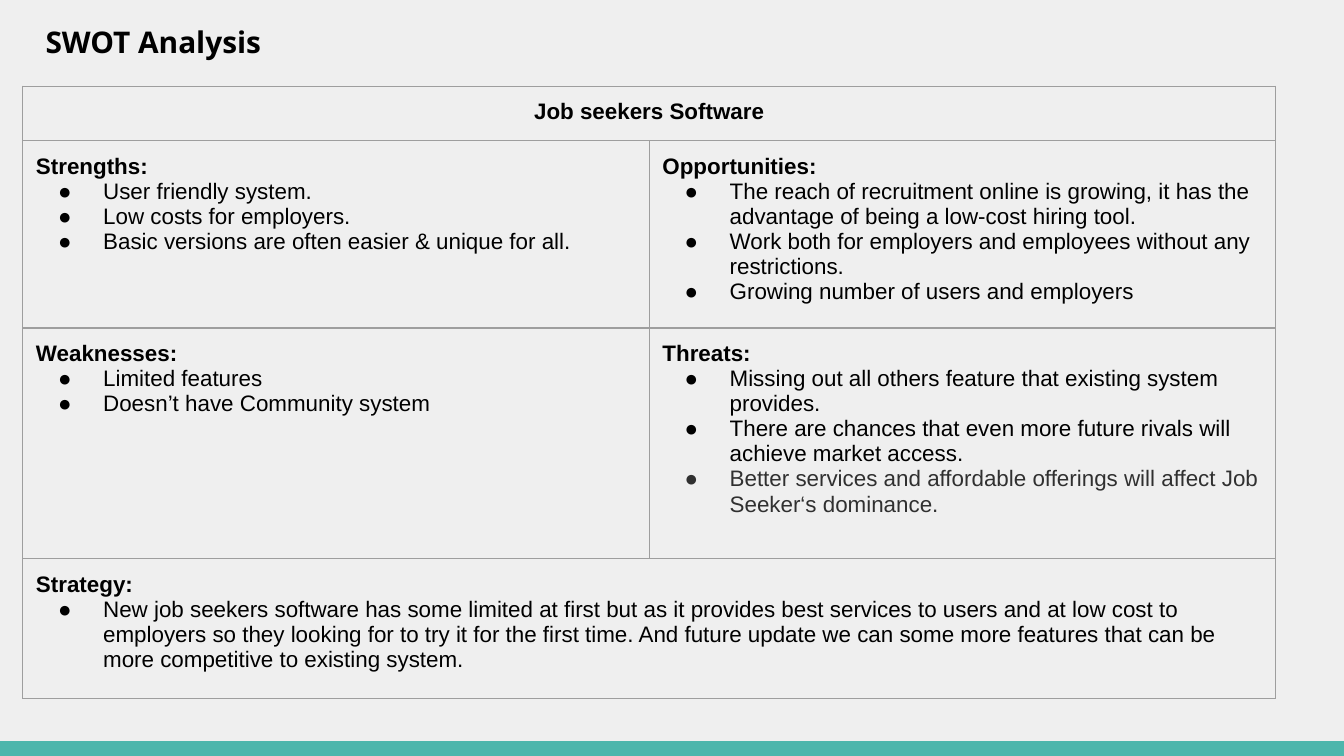
import pptx
import pptx.dml.color
import pptx.enum.shapes
import pptx.enum.text
import pptx.oxml
import pptx.oxml.ns
import pptx.util
from pptx.util import Cm

BLACK, CHARCOAL = "000000", "303030"
BACKGROUND, TEAL, BORDER = "EFEFEF", "4DB6AC", "9E9E9E"
INSET = Cm(0.25)
ROW_HEIGHTS = (1.03, 3.54, 4.36, 2.65)
COLUMN_WIDTH = 11.84

TITLE_FORMAT = {"name": "Open Sans", "size": pptx.util.Pt(16), "bold": True}
HEADING_FORMAT = {"name": "Arial", "size": pptx.util.Pt(12), "bold": True}
BODY_FORMAT = {**HEADING_FORMAT, "bold": False}

# Each entry: row, column, heading, bullets as (text, colour)
SECTIONS = [
    (1, 0, "Strengths:", [
        ("User friendly system.", BLACK),
        ("Low costs for employers.", BLACK),
        ("Basic versions are often easier & unique for all.", BLACK),
    ]),
    (1, 1, "Opportunities:", [
        ("The reach of recruitment online is growing, it has the advantage "
         "of being a low-cost hiring tool.", BLACK),
        ("Work both for employers and employees without any restrictions.", BLACK),
        ("Growing number of users and employers", BLACK),
    ]),
    (2, 0, "Weaknesses:", [
        ("Limited features", BLACK),
        ("Doesn’t have Community system", BLACK),
    ]),
    (2, 1, "Threats:", [
        ("Missing out all others feature that existing system provides.", BLACK),
        ("There are chances that even more future rivals will achieve market access.", BLACK),
        ("Better services and affordable offerings will affect Job Seeker‘s dominance.",
         CHARCOAL),
    ]),
    (3, 0, "Strategy:", [
        ("New job seekers software has some limited at first but as it provides best "
         "services to users and at low cost to employers so they looking for to try it "
         "for the first time. And future update we can some more features that can be "
         "more competitive to existing system.", BLACK),
    ]),
]


def color(hex_string):
    return pptx.dml.color.RGBColor.from_string(hex_string)


def set_attributes(target, values):
    for name, value in values.items():
        setattr(target, name, value)


def write(paragraph, text, font_format, hex_string=BLACK):
    run = paragraph.add_run()
    run.text = text
    set_attributes(run.font, font_format)
    run.font.color.rgb = color(hex_string)


def set_insets(target):
    sides = ("left", "right", "top", "bottom")
    set_attributes(target, {f"margin_{side}": INSET for side in sides})


def add_bullet(paragraph, hex_string):
    properties = paragraph._p.get_or_add_pPr()
    properties.set("marL", str(Cm(1.27)))
    properties.set("indent", str(Cm(-0.85)))
    namespace = pptx.oxml.ns.nsdecls("a")
    for markup in (
        f'<a:buClr {namespace}><a:srgbClr val="{hex_string}"/></a:buClr>',
        f'<a:buFont {namespace} typeface="Arial"/>',
        f'<a:buChar {namespace} char="●"/>',
    ):
        properties.append(pptx.oxml.parse_xml(markup))


def format_cell(cell):
    """Clear the fill, then set insets and a thin border on every side."""
    cell.fill.background()
    set_insets(cell)
    properties = cell._tc.get_or_add_tcPr()
    for position, side in enumerate("LRTB"):
        properties.insert(position, pptx.oxml.parse_xml(
            f'<a:ln{side} {pptx.oxml.ns.nsdecls("a")} w="{pptx.util.Pt(0.75)}">'
            f'<a:solidFill><a:srgbClr val="{BORDER}"/></a:solidFill></a:ln{side}>'))


def add_title(slide, text):
    title = slide.shapes.title
    set_attributes(title, {"left": Cm(0.61), "top": Cm(0.2),
                           "width": Cm(23.67), "height": Cm(1.19)})
    frame = title.text_frame
    set_insets(frame)
    set_attributes(frame, {"word_wrap": True,
                           "auto_size": pptx.enum.text.MSO_AUTO_SIZE.NONE,
                           "vertical_anchor": pptx.enum.text.MSO_ANCHOR.TOP})
    paragraph = frame.paragraphs[0]
    paragraph.alignment = pptx.enum.text.PP_ALIGN.LEFT
    write(paragraph, text, TITLE_FORMAT)


def add_footer_bar(slide, presentation):
    height = Cm(0.28)
    bar = slide.shapes.add_shape(
        pptx.enum.shapes.MSO_SHAPE.RECTANGLE, 0, presentation.slide_height - height,
        presentation.slide_width, height)
    bar.shadow.inherit = False
    bar.fill.solid()
    bar.fill.fore_color.rgb = color(TEAL)
    bar.line.fill.background()


def fill_section(cell, heading, bullets):
    frame = cell.text_frame
    write(frame.paragraphs[0], heading, HEADING_FORMAT)
    for text, hex_string in bullets:
        paragraph = frame.add_paragraph()
        add_bullet(paragraph, hex_string)
        write(paragraph, text, BODY_FORMAT, hex_string)


def add_swot_table(slide):
    table = slide.shapes.add_table(
        len(ROW_HEIGHTS), 2, Cm(0.43), Cm(1.63),
        Cm(2 * COLUMN_WIDTH), Cm(sum(ROW_HEIGHTS))).table
    set_attributes(table, {"first_row": False, "horz_banding": False})
    for column in table.columns:
        column.width = Cm(COLUMN_WIDTH)
    for row, height in zip(table.rows, ROW_HEIGHTS):
        row.height = Cm(height)
    for cell in table.iter_cells():
        format_cell(cell)
    for row in (0, len(ROW_HEIGHTS) - 1):
        table.cell(row, 0).merge(table.cell(row, 1))

    header = table.cell(0, 0).text_frame.paragraphs[0]
    header.alignment = pptx.enum.text.PP_ALIGN.CENTER
    write(header, "Job seekers Software", HEADING_FORMAT)
    for row, column, heading, bullets in SECTIONS:
        fill_section(table.cell(row, column), heading, bullets)


def main():
    presentation = pptx.Presentation()
    set_attributes(presentation, {"slide_width": Cm(25.4), "slide_height": Cm(14.29)})
    slide = presentation.slides.add_slide(presentation.slide_layouts.get_by_name("Title Only"))
    slide.background.fill.solid()
    slide.background.fill.fore_color.rgb = color(BACKGROUND)
    add_footer_bar(slide, presentation)
    add_title(slide, "SWOT Analysis")
    add_swot_table(slide)
    presentation.save("out.pptx")


if __name__ == "__main__":
    main()
